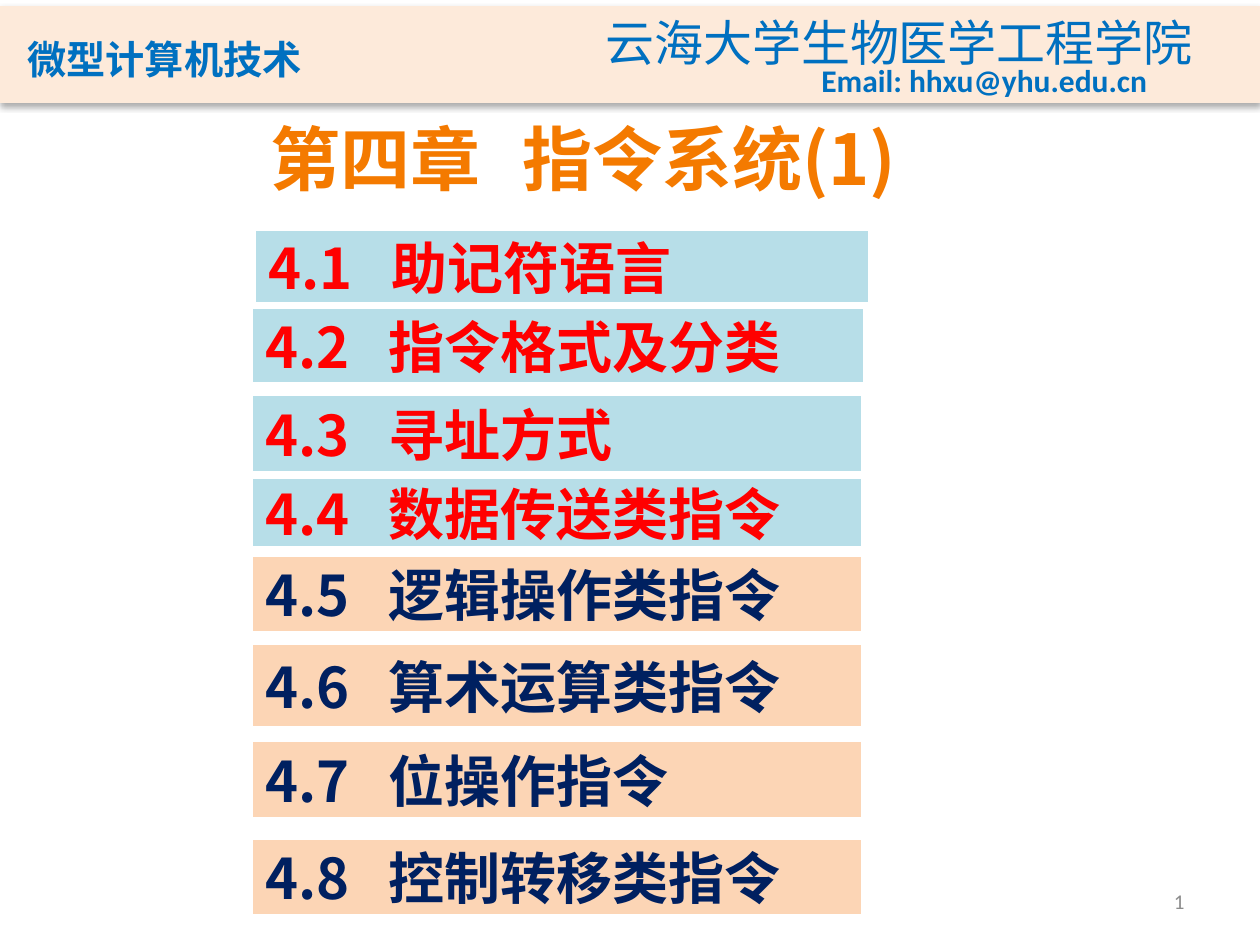
"""Build the chapter 4 contents slide with its course header."""
from lxml import etree
from pptx import Presentation
from pptx.dml.color import RGBColor
from pptx.enum.shapes import MSO_SHAPE
from pptx.enum.text import MSO_ANCHOR, PP_ALIGN
from pptx.oxml import parse_xml
from pptx.oxml.ns import nsdecls, qn
from pptx.util import Pt

PX = 914400 / 126
RECTANGLE, BUTTON = MSO_SHAPE.RECTANGLE, MSO_SHAPE.ACTION_BUTTON_CUSTOM
TOP, MIDDLE, BOTTOM = MSO_ANCHOR.TOP, MSO_ANCHOR.MIDDLE, MSO_ANCHOR.BOTTOM
LEFT, CENTER, RIGHT = PP_ALIGN.LEFT, PP_ALIGN.CENTER, PP_ALIGN.RIGHT
CJK = "Noto Sans CJK SC"
CREAM = RGBColor(0xFD, 0xEA, 0xDA)
BLUE = RGBColor(0x00, 0x70, 0xC0)
GRAY = RGBColor(0x8C, 0x8C, 0x8C)
ORANGE = RGBColor(0xF4, 0x7A, 0x00)
AQUA = RGBColor(0xB7, 0xDE, 0xE8)
PEACH = RGBColor(0xFC, 0xD5, 0xB5)
RED = RGBColor(0xFF, 0x00, 0x00)
NAVY = RGBColor(0x00, 0x20, 0x60)


def emu(*lengths):
    return [round(length * PX) for length in lengths]


def write(box, text, size, color, font=CJK, bold=False, align=LEFT,
          anchor=TOP, spacing=None):
    frame = box.text_frame
    frame.word_wrap = True
    frame.vertical_anchor = anchor
    para = frame.paragraphs[0]
    para.alignment = align
    para.line_spacing = spacing
    span = para.add_run()
    span.text = text
    span.font.size = Pt(size)
    span.font.bold = bold
    span.font.color.rgb = color
    span.font.name = font
    properties = span._r.get_or_add_rPr()
    etree.SubElement(properties, qn("a:ea")).set("typeface", font)
    return para


deck = Presentation()
deck.slide_width, deck.slide_height = emu(1260, 945)
page = deck.slides.add_slide(deck.slide_layouts[5])
shapes = page.shapes

band = shapes.add_shape(RECTANGLE, *emu(0, 6, 1260, 97))
band.fill.solid()
band.fill.fore_color.rgb = CREAM
band.line.fill.background()
band._element.spPr.append(parse_xml(
    f'<a:effectLst {nsdecls("a")}><a:outerShdw blurRad="44450" dist="27940" '
    'dir="5400000" rotWithShape="0"><a:srgbClr val="000000">'
    '<a:alpha val="32000"/></a:srgbClr></a:outerShdw></a:effectLst>'))

course = shapes.add_textbox(*emu(15, 20, 427, 71))
para = write(course, "微型计算机技术", 28, BLUE, font="Noto Sans CJK JP",
             bold=True, anchor=BOTTOM)
para.runs[0]._r.get_or_add_rPr().set("cap", "small")

school = shapes.add_textbox(*emu(593, 6, 625, 72))
write(school, "云海大学生物医学工程学院", 28, BLUE)
email = shapes.add_textbox(*emu(809, 55, 370, 50))
write(email, "Email: hhxu@yhu.edu.cn", 18, BLUE, font="Calibri", bold=True)
number = shapes.add_textbox(*emu(903, 876, 294, 50))
write(number, "1", 12, GRAY, font="Calibri", align=RIGHT, anchor=MIDDLE)

title = shapes.title
title.left, title.top, title.width, title.height = emu(-54, 105, 1275, 126)
write(title, "第四章\t指令系统(1)", 40, ORANGE, bold=True, align=CENTER,
      spacing=1.05)

sections = [
    ("助记符语言", 256, 231, 612, 71),
    ("指令格式及分类", 253, 309, 610, 73),
    ("寻址方式", 253, 396, 608, 75),
    ("数据传送类指令", 253, 479, 608, 67),
    ("逻辑操作类指令", 253, 557, 608, 74),
    ("算术运算类指令", 253, 645, 608, 81),
    ("位操作指令", 253, 742, 608, 75),
    ("控制转移类指令", 253, 840, 608, 74),
]
for index, (name, *place) in enumerate(sections, start=1):
    fill, color = (AQUA, RED) if index <= 4 else (PEACH, NAVY)
    button = shapes.add_shape(BUTTON, *emu(*place))
    button.shadow.inherit = False
    button.fill.solid()
    button.fill.fore_color.rgb = fill
    button.line.fill.background()
    frame = button.text_frame
    frame.margin_top, frame.margin_bottom = emu(0, 6)
    para = write(button, f"4.{index}\t{name}", 32, color, bold=True,
                 anchor=MIDDLE, spacing=1.1)
    stops = etree.SubElement(para._p.get_or_add_pPr(), qn("a:tabLst"))
    stop = etree.SubElement(stops, qn("a:tab"))
    stop.set("pos", str(emu(123)[0]))
    stop.set("algn", "l")

deck.save("out.pptx")
